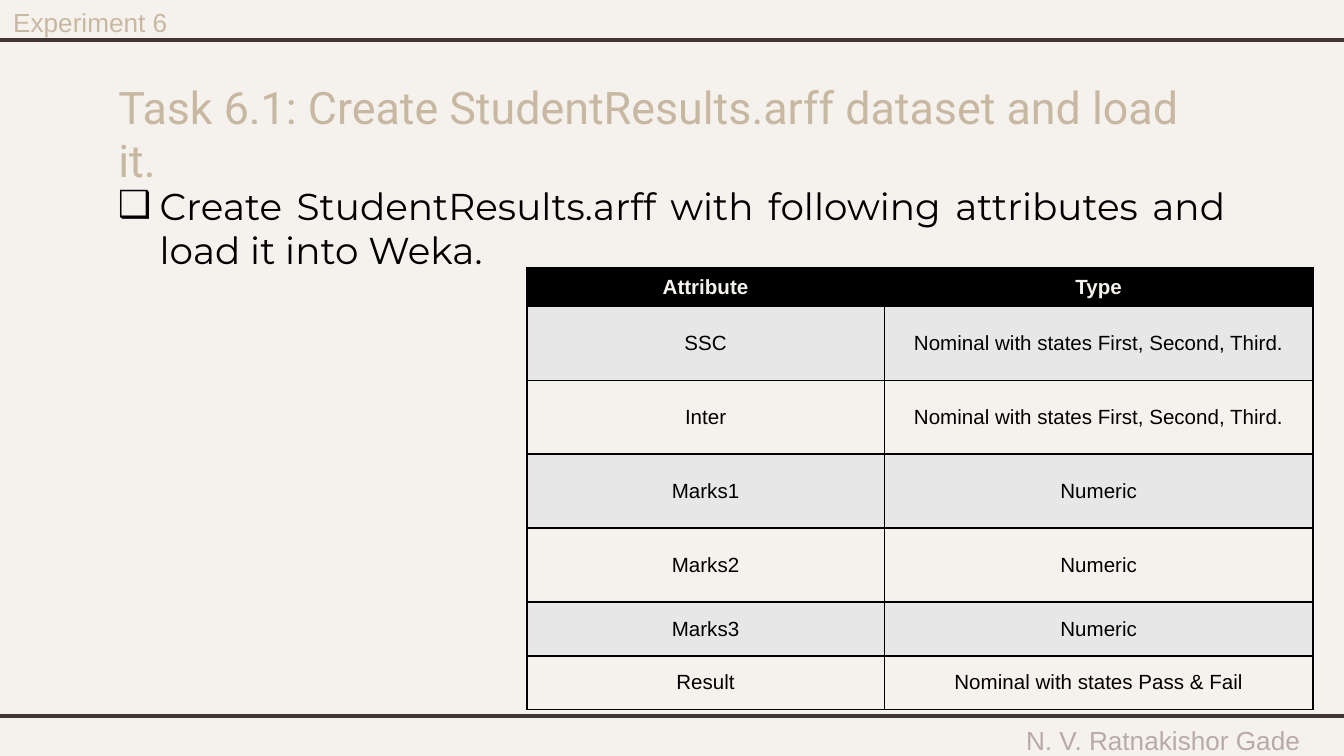
"""Build the Task 6.1 slide: dataset attributes and their types."""
from lxml import etree
from pptx import Presentation
from pptx.dml.color import RGBColor
from pptx.enum.shapes import MSO_CONNECTOR
from pptx.enum.text import MSO_ANCHOR, MSO_AUTO_SIZE, PP_ALIGN
from pptx.oxml import parse_xml
from pptx.oxml.ns import nsdecls, qn
from pptx.util import Inches, Pt

LEFT, CENTER, JUSTIFY = PP_ALIGN.LEFT, PP_ALIGN.CENTER, PP_ALIGN.JUSTIFY
TOP, MIDDLE = MSO_ANCHOR.TOP, MSO_ANCHOR.MIDDLE
STRAIGHT = MSO_CONNECTOR.STRAIGHT
NO_AUTOFIT = MSO_AUTO_SIZE.NONE

COLORS = {
    "background": "F5F2EE",
    "rule": "3F3533",
    "heading": "C8B8A2",
    "author": "B8AAA7",
    "ink": "000000",
    "band": "E7E7E7",
}


def add_run(paragraph, text, font, size, color, bold=False):
    run = paragraph.add_run()
    run.text = text
    run.font.name = font
    run.font.size = Pt(size)
    run.font.bold = bold
    run.font.color.rgb = RGBColor.from_string(COLORS[color])


def format_frame(shape, anchor, side_margin, end_margin, alignment, wrap=True):
    frame = shape.text_frame
    frame.auto_size = NO_AUTOFIT
    frame.word_wrap = wrap
    frame.vertical_anchor = anchor
    frame.margin_left = frame.margin_right = Inches(side_margin)
    frame.margin_top = frame.margin_bottom = Inches(end_margin)
    paragraph = frame.paragraphs[0]
    paragraph.alignment = alignment
    return paragraph


presentation = Presentation()
presentation.slide_width = Inches(10)
presentation.slide_height = Inches(10) * 9 // 16
slide = presentation.slides.add_slide(presentation.slide_layouts[5])
slide.background.fill.solid()
slide.background.fill.fore_color.rgb = RGBColor.from_string(COLORS["background"])

for y in (0.3, 5.33):
    rule = slide.shapes.add_connector(
        STRAIGHT, Inches(-0.08), Inches(y), Inches(10.08), Inches(y))
    rule.line.color.rgb = RGBColor.from_string(COLORS["rule"])
    rule.line.width = Pt(2.25)
    etree.SubElement(rule._element.spPr, qn("a:effectLst"))

title = slide.shapes.title
title.left, title.top = Inches(0.78), Inches(0.49)
title.width, title.height = Inches(8.2), Inches(0.63)
paragraph = format_frame(title, TOP, 0.1, 0.1, LEFT)
add_run(paragraph, "Task 6.1: Create StudentResults.arff dataset and load it.",
        "Roboto", 24, "heading")

body = slide.shapes.add_textbox(Inches(0.78), Inches(1.26), Inches(8.44), Inches(3.6))
paragraph = format_frame(body, TOP, 0.1, 0.1, JUSTIFY)
paragraph.space_after = Pt(6)
properties = paragraph._p.get_or_add_pPr()
properties.set("marL", str(Inches(0.31)))
properties.set("indent", str(Inches(-0.31)))
bullet_color = etree.SubElement(properties, qn("a:buClr"))
etree.SubElement(bullet_color, qn("a:srgbClr"), val=COLORS["ink"])
etree.SubElement(properties, qn("a:buFont"), typeface="Arial")
etree.SubElement(properties, qn("a:buChar"), char="❑")
add_run(paragraph,
        "Create StudentResults.arff with following attributes and load it into Weka.",
        "Montserrat", 20, "ink")

experiment = slide.shapes.add_textbox(0, 0, Inches(1.36), Inches(0.34))
paragraph = format_frame(experiment, TOP, 0.1, 0.05, LEFT, wrap=False)
add_run(paragraph, "Experiment 6", "Arial", 14, "heading")

author = slide.shapes.add_textbox(Inches(7.31), Inches(5.41), Inches(2.69), Inches(0.19))
paragraph = format_frame(author, MIDDLE, 0, 0, CENTER)
add_run(paragraph, "N. V. Ratnakishor Gade", "Arial", 14, "author")

ROWS = [
    ("Attribute", "Type", 0.29),
    ("SSC", "Nominal with states First, Second, Third.", 0.55),
    ("Inter", "Nominal with states First, Second, Third.", 0.55),
    ("Marks1", "Numeric", 0.55),
    ("Marks2", "Numeric", 0.55),
    ("Marks3", "Numeric", 0.4),
    ("Result", "Nominal with states Pass & Fail", 0.4),
]
table = slide.shapes.add_table(
    len(ROWS), 2, Inches(3.92), Inches(1.99), Inches(5.85), Inches(3.29)).table
table.columns[0].width = Inches(2.66)
table.columns[1].width = Inches(3.19)

for row_index, (attribute, kind, height) in enumerate(ROWS):
    table.rows[row_index].height = Inches(height)
    header = row_index == 0
    fill = "ink" if header else ("band" if row_index % 2 else "background")
    for column_index, text in enumerate((attribute, kind)):
        cell = table.cell(row_index, column_index)
        cell.vertical_anchor = MIDDLE
        cell_properties = cell._tc.get_or_add_tcPr()
        for side in ("lnL", "lnR", "lnT", "lnB"):
            cell_properties.append(parse_xml(
                f'<a:{side} {nsdecls("a")} w="{Pt(1)}"><a:solidFill>'
                f'<a:srgbClr val="{COLORS["ink"]}"/></a:solidFill></a:{side}>'))
        cell.fill.solid()
        cell.fill.fore_color.rgb = RGBColor.from_string(COLORS[fill])
        paragraph = cell.text_frame.paragraphs[0]
        paragraph.alignment = CENTER
        add_run(paragraph, text, "Arial", 11, "background" if header else "ink", header)

presentation.save("out.pptx")
